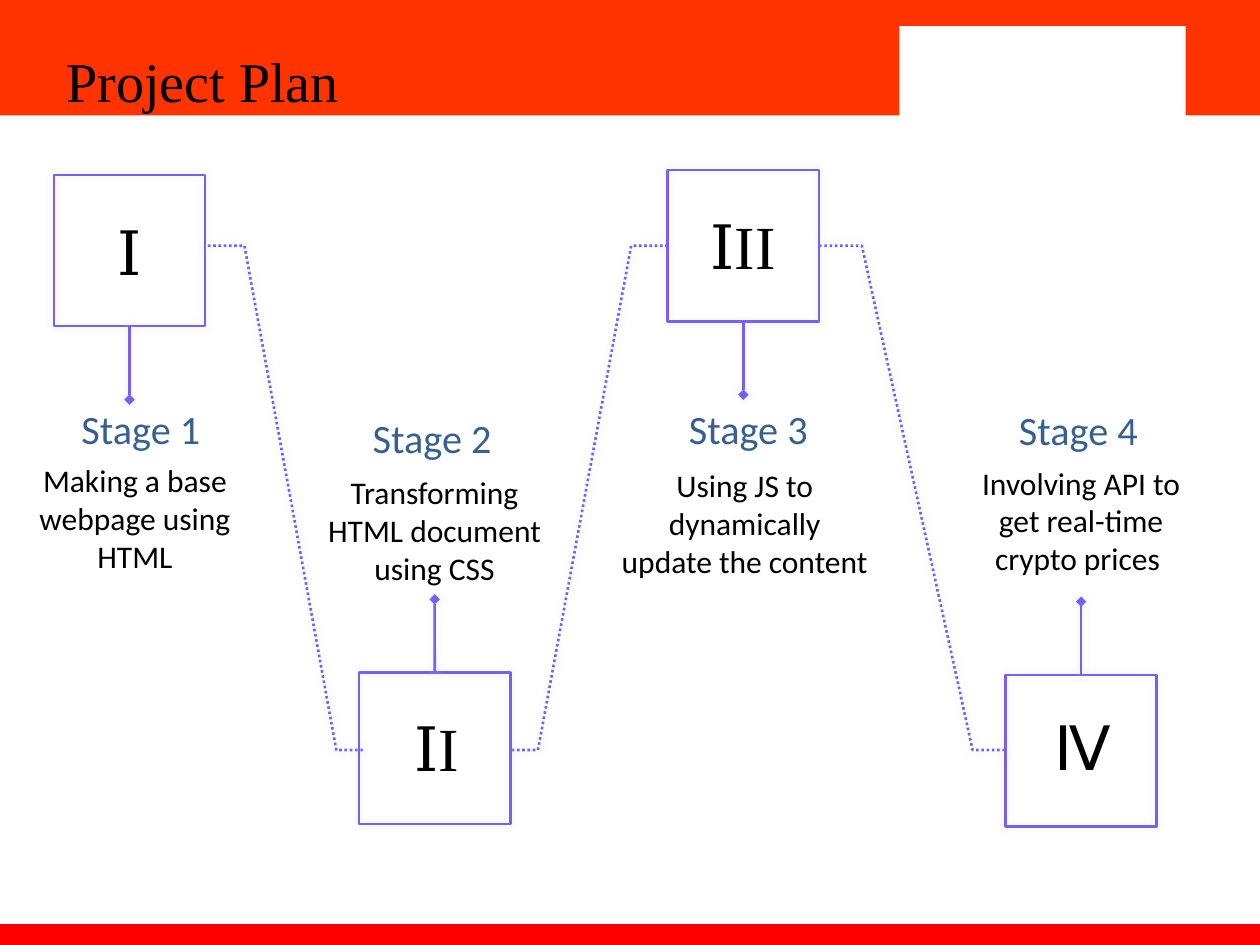
import pptx
import pptx.dml.color
import pptx.enum.dml
import pptx.enum.shapes
import pptx.enum.text
import pptx.oxml
import pptx.oxml.ns
import pptx.util

Pt = pptx.util.Pt
RECT = pptx.enum.shapes.MSO_SHAPE.RECTANGLE
SIDE = 86.4
STEM = 42
GLOW = (
    f'<a:effectLst {pptx.oxml.ns.nsdecls("a")}>'
    '<a:outerShdw blurRad="57150" dist="0" dir="0" algn="ctr" rotWithShape="0">'
    '<a:srgbClr val="DFDEFF"><a:alpha val="50000"/></a:srgbClr>'
    '</a:outerShdw></a:effectLst>'
)


def paint(part, color, dash=None):
    """Give a shape or connector its line and its soft glow."""
    part.line.color.rgb = pptx.dml.color.RGBColor.from_string(color)
    part.line.width = Pt(1.5)
    if dash:
        part.line.dash_style = dash
    props = part._element.spPr
    for old in props.findall(pptx.oxml.ns.qn("a:effectLst")):
        props.remove(old)
    props.append(pptx.oxml.parse_xml(GLOW))


def write(place, words, size, color="000000", font="Calibri", title=False):
    """Add a text box: centred both ways, or top left for the title."""
    box = slide.shapes.add_textbox(*map(Pt, place))
    frame = box.text_frame
    frame.word_wrap = True
    if not title:
        frame.vertical_anchor = pptx.enum.text.MSO_ANCHOR.MIDDLE
        frame.margin_top = frame.margin_bottom = Pt(7.2)
        frame.paragraphs[0].alignment = pptx.enum.text.PP_ALIGN.CENTER
    run = frame.paragraphs[0].add_run()
    run.text = words
    run.font.size = Pt(size)
    run.font.name = font
    run.font.color.rgb = pptx.dml.color.RGBColor.from_string(color)


deck = pptx.Presentation()
deck.slide_width, deck.slide_height = Pt(720), Pt(540)
slide = deck.slides.add_slide(deck.slide_layouts[6])

# Header, footer and the white block in the header
for place, color in [
    ((0, 0, 720, 66), "FF3300"),
    ((0, 528, 720, 12), "FF0000"),
    ((514, 15, 163.5, 54), "FFFFFF"),
]:
    band = slide.shapes.add_shape(RECT, *map(Pt, place))
    band.shadow.inherit = False
    band.fill.solid()
    band.fill.fore_color.rgb = pptx.dml.color.RGBColor.from_string(color)
    band.line.fill.background()

write((31, 23, 425.5, 46), "Project Plan", 32, font="Times New Roman", title=True)

# Dotted links between neighbouring stages
for xs in [
    (118.8, 139.7, 192.2, 208),
    (381.6, 360.7, 307.4, 291.6),
    (468, 492.5, 555.8, 575.3),
]:
    dots = [(Pt(x), Pt(y)) for x, y in zip(xs, (140.4, 140.4, 428.6, 428.6))]
    draft = slide.shapes.build_freeform(*dots[0], scale=1.0)
    draft.add_line_segments(dots[1:], close=False)
    link = draft.convert_to_shape()
    link.fill.background()
    paint(link, "775EF5", pptx.enum.dml.MSO_LINE.ROUND_DOT)

# Box corner, stem side, numeral and its place and font, heading place, text and its place
stages = [
    (30.8, 100, 2, "Ⅰ", (2.2, 126.7), "Times New Roman", (8.6, 228.2),
     "Making a base webpage using HTML", (-5, 257.8, 164.2, 76.3)),
    (205.2, 384.5, 0, "ⅠI", (177.8, 410.4), "Times New Roman", (175, 233.3),
     "Transforming HTML document using CSS", (170.6, 266.4, 155.5, 72.7)),
    (381.6, 97.2, 2, "ⅠII", (352.8, 123.8), "Times New Roman", (355.7, 228.2),
     "Using JS to dynamically update the content", (347.8, 270, 155.5, 57.6)),
    (574.6, 385.8, 0, "Ⅳ", (546.5, 409.7), "Calibri", (544.3, 229),
     "Involving API to get real-time crypto prices ", (545.8, 270, 144, 54.7)),
]
for num, (x, y, side, sign, spot, font, head, words, place) in enumerate(stages, 1):
    box = slide.shapes.add_shape(RECT, Pt(x), Pt(y), Pt(SIDE), Pt(SIDE))
    box.fill.background()
    paint(box, "775EF5")

    mid = x + SIDE / 2
    start, end = (y + SIDE, y + SIDE + STEM) if side == 2 else (y, y - STEM)
    stem = slide.shapes.add_connector(
        pptx.enum.shapes.MSO_CONNECTOR.STRAIGHT, Pt(mid), Pt(start), Pt(mid), Pt(end))
    stem.begin_connect(box, side)
    paint(stem, "775EF5")
    tip = pptx.oxml.parse_xml(f'<a:tailEnd {pptx.oxml.ns.nsdecls("a")} type="diamond"/>')
    stem.line._get_or_add_ln().append(tip)

    write((*spot, 144, 33), sign, 35, font=font)
    write((*head, 144, 33), f"Stage {num}", 23, "376092")
    write(place, words, 18)

deck.save("out.pptx")
